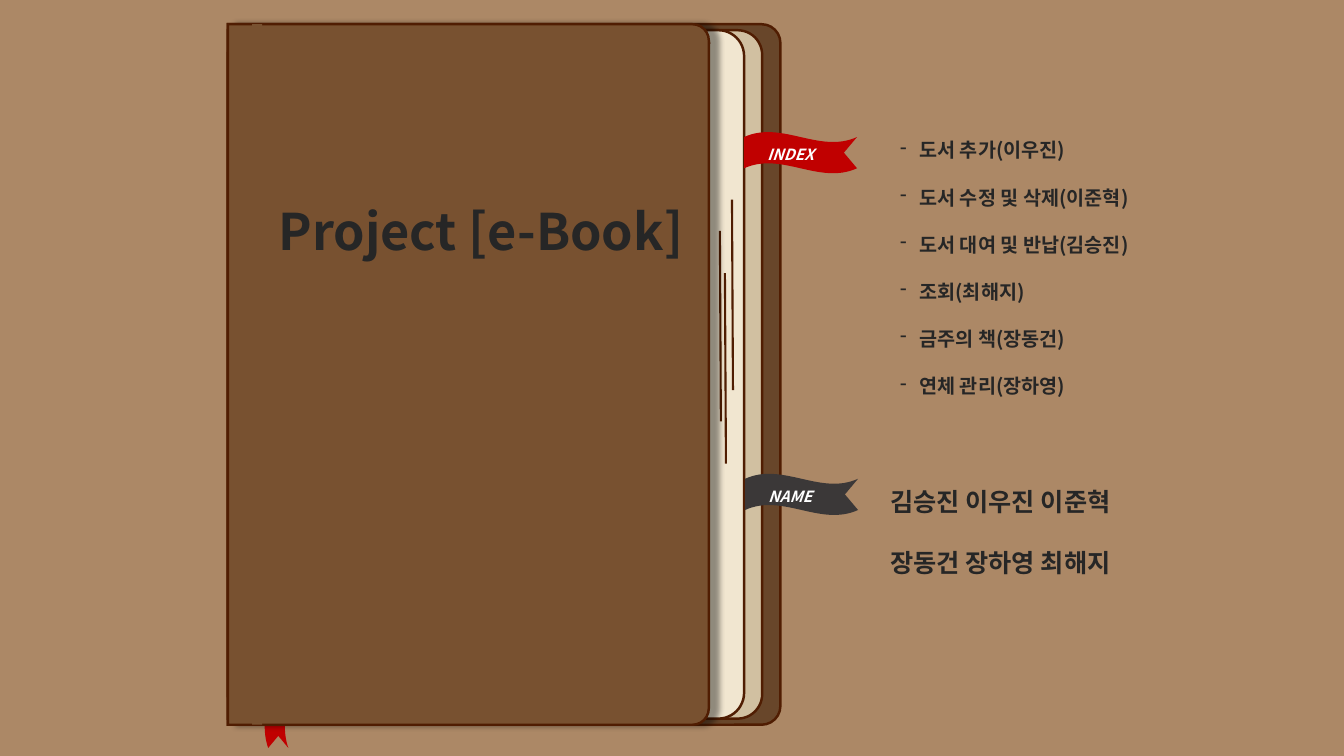
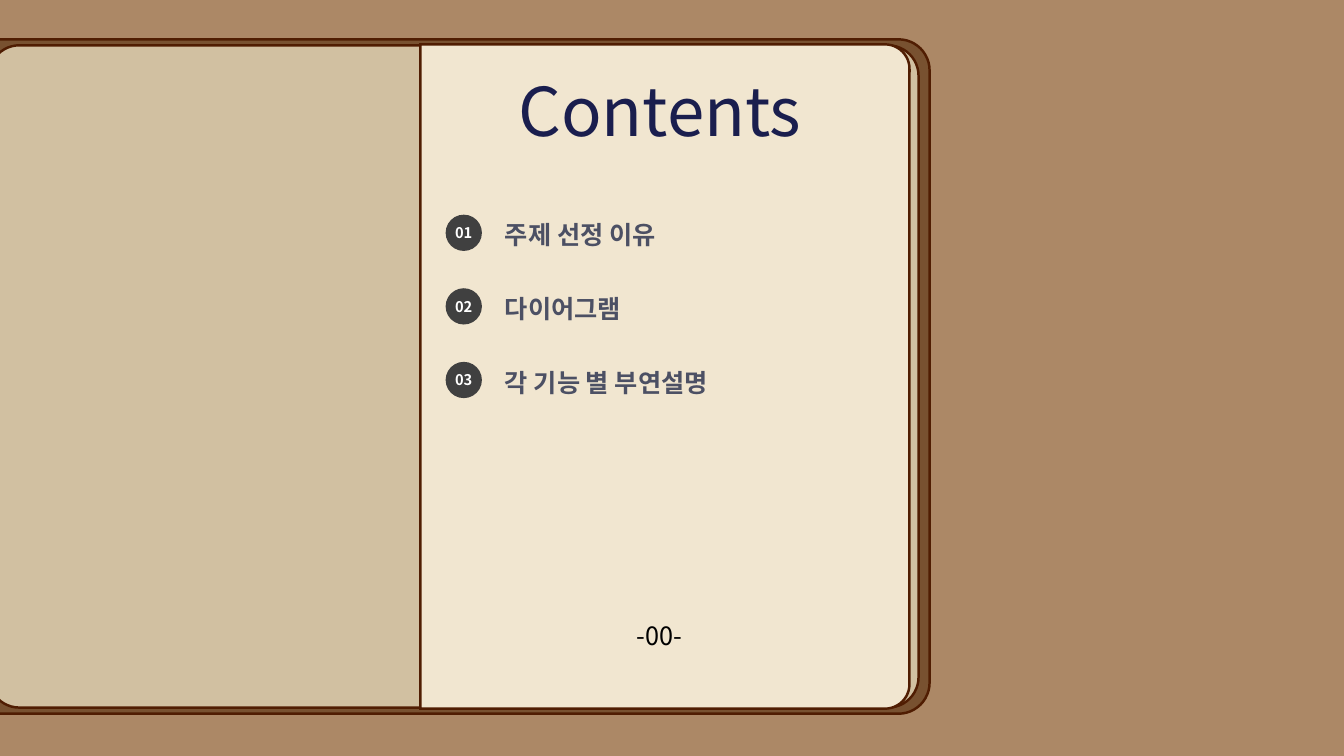
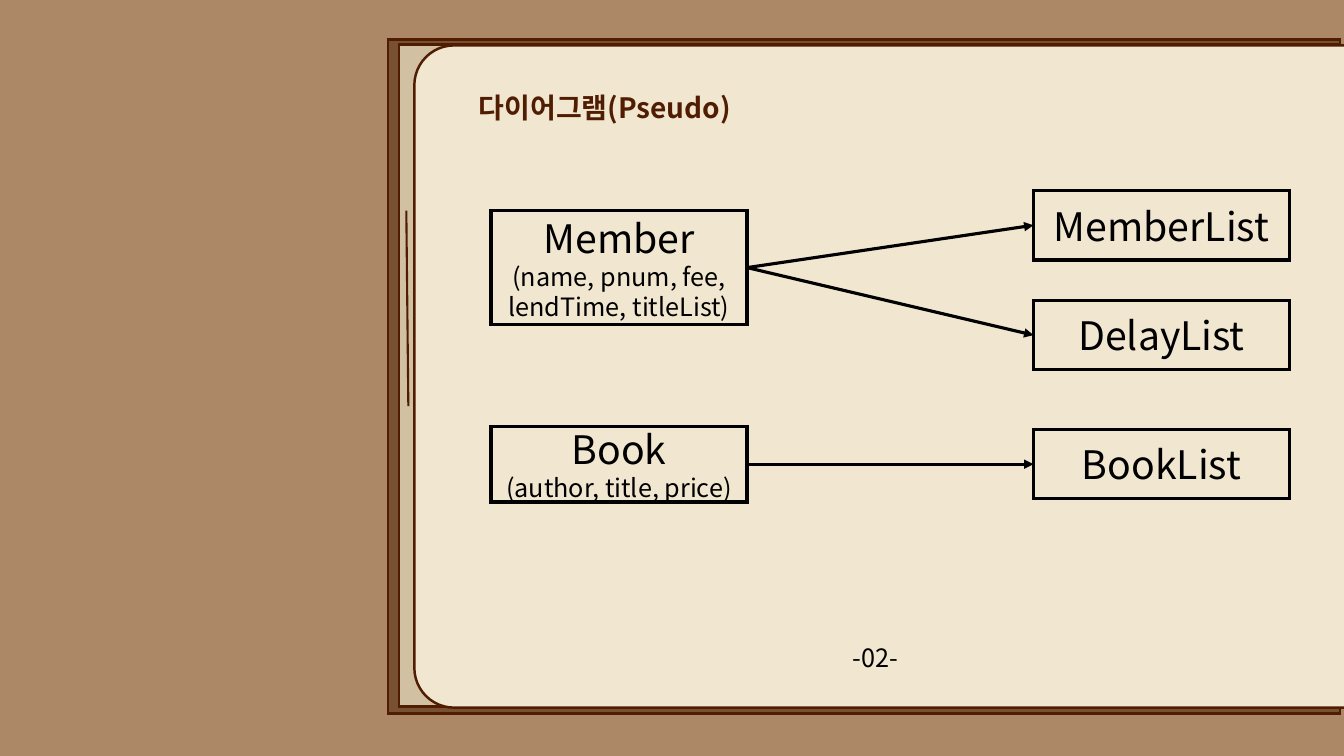
from lxml import etree
from pptx import Presentation
from pptx.dml.color import RGBColor
from pptx.enum import shapes, text
from pptx.oxml import ns
from pptx.util import Inches, Pt

FONT = "Noto Sans CJK KR"
DESK = RGBColor(0xAC, 0x88, 0x66)
COVER = RGBColor(0x78, 0x51, 0x30)
BACK_COVER = RGBColor(0x68, 0x46, 0x2A)
OLD_PAPER = RGBColor(0xD1, 0xC0, 0xA1)
PAPER = RGBColor(0xF1, 0xE6, 0xD0)
EDGE = RGBColor(0x50, 0x1D, 0x02)
RED = RGBColor(0xC0, 0x00, 0x00)
CHARCOAL = RGBColor(0x3B, 0x38, 0x38)
BADGE = RGBColor(0x40, 0x40, 0x40)
INK = RGBColor(0x26, 0x26, 0x26)
NAVY = RGBColor(0x1A, 0x1E, 0x4E)
SLATE = RGBColor(0x4C, 0x50, 0x64)
BLACK = RGBColor(0x00, 0x00, 0x00)
WHITE = RGBColor(0xFF, 0xFF, 0xFF)

KIND = shapes.MSO_SHAPE
LEFT, CENTER = text.PP_ALIGN.LEFT, text.PP_ALIGN.CENTER
LEFT_SIDE, RIGHT_SIDE = 1, 3


def child(parent, tag, **attrs):
    return etree.SubElement(parent, ns.qn(tag), {k: str(v) for k, v in attrs.items()})


def new_slide(prs):
    s = prs.slides.add_slide(prs.slide_layouts[6])
    s.background.fill.solid()
    s.background.fill.fore_color.rgb = DESK
    return s


def paint(sp, fill, line=None, weight=1.75):
    sp.shadow.inherit = False
    sp.fill.solid()
    sp.fill.fore_color.rgb = fill
    if line is None:
        sp.line.fill.background()
    else:
        sp.line.color.rgb = line
        sp.line.width = Pt(weight)
        child(sp.line._get_or_add_ln(), "a:miter", lim=800000)


def add_shape(s, kind, box, fill, line=None, weight=1.75, adj=None):
    sp = s.shapes.add_shape(kind, *map(Inches, box))
    paint(sp, fill, line, weight)
    if adj is not None:
        sp.adjustments[0] = adj
    return sp


def add_leaf(s, box, fill, adj, rotation=90):
    x, y, w, h = box
    turned = (x + (w - h) / 2, y + (h - w) / 2, h, w)
    sp = add_shape(s, KIND.ROUND_2_SAME_RECTANGLE, turned, fill, EDGE, adj=adj)
    sp.rotation = rotation
    return sp


def cast_shadow(sp):
    effects = sp._element.spPr.find(ns.qn("a:effectLst"))
    shadow = child(effects, "a:outerShdw", blurRad=Pt(4), dist=Pt(6), dir=0,
                   algn="l", rotWithShape=0)
    color = child(shadow, "a:srgbClr", val="000000")
    child(color, "a:alpha", val=40000)


def curve_through(sp, steps, controls):
    curve = etree.Element(ns.qn("a:cubicBezTo"))
    steps[0].addprevious(curve)
    for x, y in controls:
        child(curve, "a:pt", x=x - sp.left, y=y - sp.top)
    curve.append(steps[2][0])
    for step in steps:
        step.getparent().remove(step)


def add_ribbon(s, x, y, length, width, wave, notch, fill, vertical=False):
    def place(u, v):
        dx, dy = (v, u) if vertical else (u, v)
        return Inches(x + dx), Inches(y + dy)

    crest = 0.29 * wave
    outline = [(0.21 * length, crest), (0.79 * length, -crest), (length, 0),
               (length - notch, width / 2), (length, width),
               (0.79 * length, width - crest), (0.21 * length, width + crest), (0, width)]
    builder = s.shapes.build_freeform(*place(0, 0), scale=1.0)
    builder.add_line_segments([place(u, v) for u, v in outline], close=True)
    sp = builder.convert_to_shape()
    paint(sp, fill)
    steps = list(sp._element.iter(ns.qn("a:lnTo")))
    near, far = length / 3, 2 * length / 3
    curve_through(sp, steps[:3], [place(near, wave), place(far, -wave)])
    curve_through(sp, steps[5:8], [place(far, width - wave), place(near, width + wave)])


def add_line(s, start, end, color=EDGE, weight=1.5):
    c = s.shapes.add_connector(shapes.MSO_CONNECTOR.STRAIGHT,
                               *map(Inches, (*start, *end)))
    c.line.color.rgb = color
    c.line.width = Pt(weight)
    child(c._element.spPr, "a:effectLst")
    return c


def add_arrow(s, source, target):
    c = add_line(s, (0, 0), (1, 1), BLACK, 2.25)
    c.begin_connect(source, RIGHT_SIDE)
    c.end_connect(target, LEFT_SIDE)
    child(c.line._get_or_add_ln(), "a:tailEnd", type="triangle")


def write(tf, lines, color, bold=False, italic=False, align=LEFT, spacing=None, bullet=None):
    for i, (words, size) in enumerate(lines):
        p = tf.paragraphs[0] if i == 0 else tf.add_paragraph()
        p.alignment = align
        if spacing:
            p.line_spacing = spacing
        if bullet:
            pPr = p._p.get_or_add_pPr()
            pPr.set("marL", str(Inches(0.19)))
            pPr.set("indent", str(-Inches(0.19)))
            child(pPr, "a:buFontTx")
            child(pPr, "a:buChar", char=bullet)
        r = p.add_run()
        r.text = words
        r.font.size = Pt(size)
        r.font.bold = bold
        r.font.italic = italic
        r.font.color.rgb = color
        r.font.name = FONT


def center_text(tf, inset=None):
    tf.word_wrap = True
    tf.vertical_anchor = text.MSO_ANCHOR.MIDDLE
    if inset is not None:
        tf.margin_left = tf.margin_right = tf.margin_top = tf.margin_bottom = Inches(inset)


def add_text(s, box, lines, color, wrap=True, **style):
    tf = s.shapes.add_textbox(*map(Inches, box)).text_frame
    tf.word_wrap = wrap
    tf.auto_size = text.MSO_AUTO_SIZE.SHAPE_TO_FIT_TEXT
    write(tf, lines, color, **style)
    return tf


def add_tab(s, x, y, label, fill):
    add_ribbon(s, x, y, 1.12, 0.31, -0.17, 0.13, fill)
    add_text(s, (x + 0.13, y - 0.06, 0.67, 0.34), [(label, 11)], WHITE,
             wrap=False, bold=True, italic=True, spacing=1.5)


def add_page_number(s, x, y, number):
    add_text(s, (x, y, 2.54, 0.4), [(number, 18)], BLACK, align=CENTER)


def add_class_box(s, x, y, h, name, *fields):
    sp = add_shape(s, KIND.RECTANGLE, (x, y, 2.54, h), PAPER, BLACK, 2.25)
    center_text(sp.text_frame)
    write(sp.text_frame, [(name, 28)] + [(f, 18) for f in fields], BLACK, align=CENTER)
    return sp


def build_cover(prs):
    s = new_slide(prs)
    add_ribbon(s, 2.66, 6.4, 1.02, 0.2, 0.12, 0.12, RED, vertical=True)
    add_leaf(s, (2.26, 0.24, 5.48, 6.95), BACK_COVER, 0.034)
    add_shape(s, KIND.ROUNDED_RECTANGLE, (2.26, 0.3, 5.3, 6.83), OLD_PAPER, EDGE, adj=0.046)
    add_leaf(s, (2.26, 0.3, 5.12, 6.83), PAPER, 0.05)
    for x, y in ((7.19, 2.71), (7.14, 2.29), (7.26, 1.98)):
        add_line(s, (x, y), (x + 0.01, y + 1.89))
    cast_shadow(add_leaf(s, (2.26, 0.24, 4.77, 6.95), COVER, 0.034))
    add_shape(s, KIND.RECTANGLE, (2.5, 0.24, 0.1, 6.95), COVER)
    add_text(s, (2.62, 1.64, 4.3, 0.93), [("Project [e-Book]", 36)], INK,
             bold=True, align=CENTER, spacing=1.5)

    names = ("김승진 이우진 이준혁", "장동건 장하영 최해지")
    tf = add_text(s, (8.83, 4.84, 3.01, 0.57), [(n, 18) for n in names], INK,
                  bold=True, spacing=2.0)
    tf.auto_size = text.MSO_AUTO_SIZE.NONE
    center_text(tf, 0)
    tasks = ("도서 추가(이우진)", "도서 수정 및 삭제(이준혁)", "도서 대여 및 반납(김승진)",
             "조회(최해지)", "금주의 책(장동건)", "연체 관리(장하영)")
    add_text(s, (8.83, 1.09, 3.89, 2.93), [(t, 14) for t in tasks], INK,
             bold=True, spacing=2.0, bullet="-")
    add_tab(s, 7.38, 1.36, "INDEX", RED)
    add_tab(s, 7.39, 4.75, "NAME", CHARCOAL)


def build_contents(prs):
    s = new_slide(prs)
    for box, fill in (((-0.31, 0.39, 9.53, 6.69), COVER),
                      ((-0.11, 0.45, 9.22, 6.57), OLD_PAPER)):
        add_shape(s, KIND.ROUNDED_RECTANGLE, box, fill, EDGE, adj=0.046)
    add_leaf(s, (4.17, 0.44, 4.85, 6.59), PAPER, 0.05)
    add_line(s, (9.02, 1.66), (9.02, 3.19), weight=1)
    add_text(s, (2.46, 0.64, 8.17, 0.91), [("Contents", 48)], NAVY, align=CENTER)
    add_page_number(s, 5.27, 6.11, "-00-")
    for i, topic in enumerate(("주제 선정 이유", "다이어그램", "각 기능 별 부연설명")):
        y = 2.13 + 0.73 * i
        sp = add_shape(s, KIND.OVAL, (4.42, y, 0.36, 0.36), BADGE)
        center_text(sp.text_frame, 0)
        write(sp.text_frame, [(f"{i + 1:02}", 10.5)], WHITE, bold=True, align=CENTER)
        add_text(s, (4.91, y, 7.2, 0.4), [(topic, 18)], SLATE, bold=True)


def build_diagram(prs):
    s = new_slide(prs)
    for box, fill in (((3.85, 0.39, 9.44, 6.69), COVER),
                      ((3.96, 0.44, 9.33, 6.57), OLD_PAPER)):
        add_shape(s, KIND.RECTANGLE, box, fill, EDGE)
    add_leaf(s, (4.11, 0.45, 9.26, 6.57), PAPER, 0.06, rotation=270)
    add_text(s, (4.65, 0.68, 7.34, 0.61), [("다이어그램(Pseudo)", 20)], EDGE,
             bold=True, spacing=1.5)
    add_page_number(s, 7.41, 6.32, "-02-")
    add_line(s, (4.03, 2.09), (4.05, 4.03))

    member = add_class_box(s, 4.87, 2.09, 1.13, "Member",
                           "(name, pnum, fee,", "lendTime, titleList)")
    book = add_class_box(s, 4.87, 4.23, 0.75, "Book", "(author, title, price)")
    for source, y, name in ((member, 1.89, "MemberList"), (member, 2.98, "DelayList"),
                            (book, 4.26, "BookList")):
        add_arrow(s, source, add_class_box(s, 10.25, y, 0.69, name))


def main():
    prs = Presentation()
    prs.slide_width = Inches(13.33)
    prs.slide_height = Inches(7.5)
    build_cover(prs)
    build_contents(prs)
    build_diagram(prs)
    prs.save("out.pptx")


if __name__ == "__main__":
    main()
